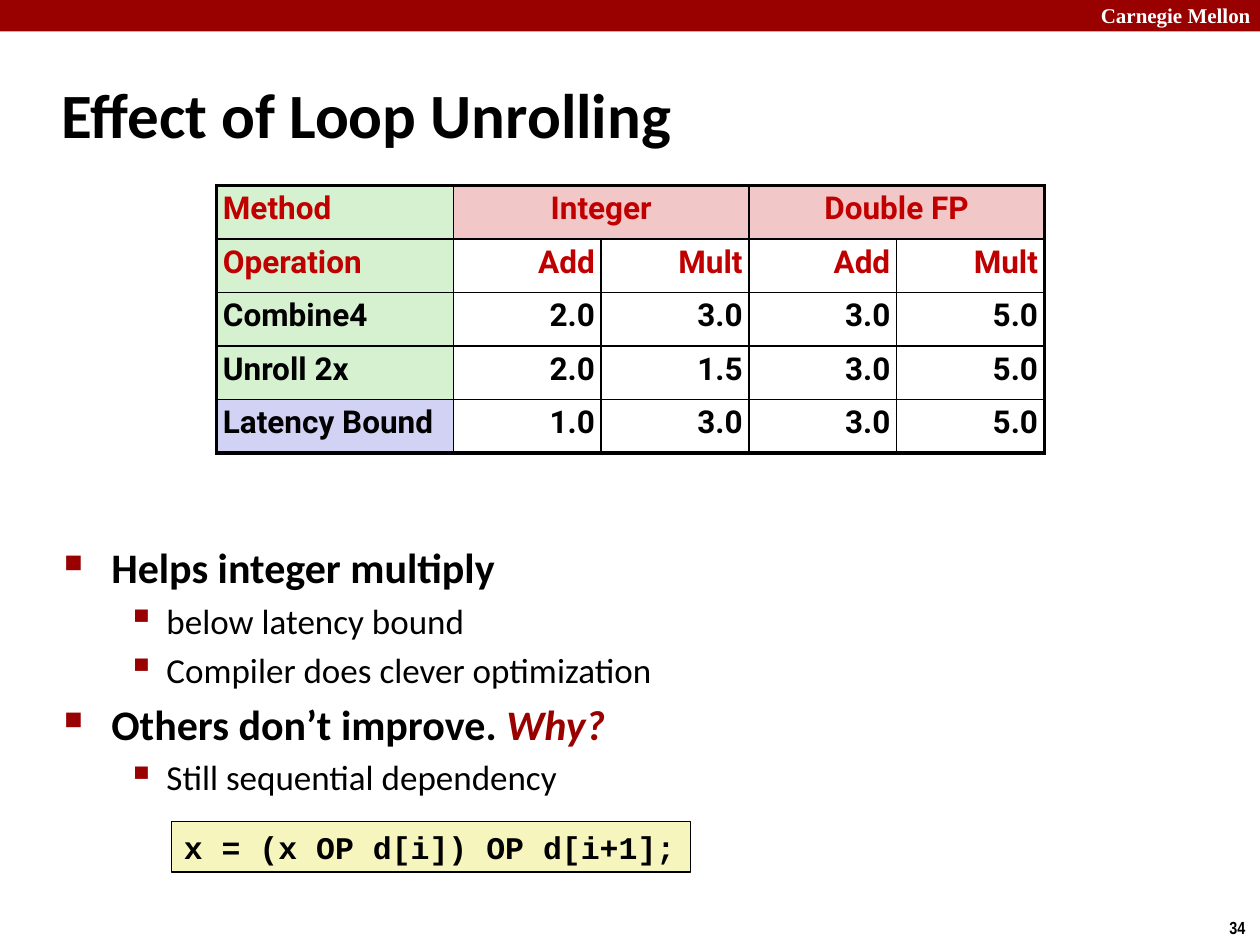
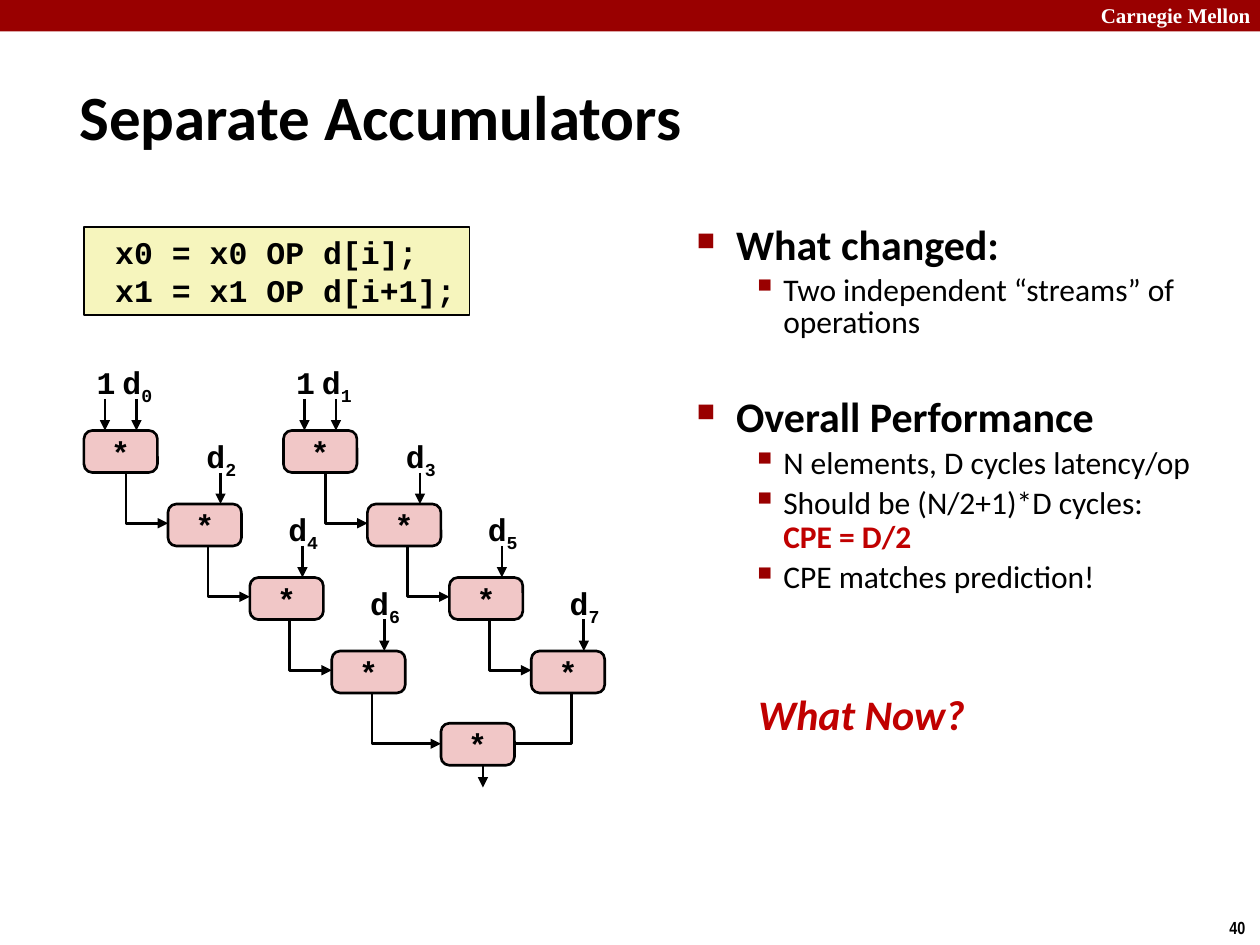
"""Build two lecture slides on loop unrolling and separate accumulators."""
from dataclasses import dataclass
from typing import NamedTuple, Optional

from lxml import etree
from pptx import Presentation
from pptx.dml.color import RGBColor
from pptx.enum.shapes import MSO_CONNECTOR, MSO_SHAPE
from pptx.enum.text import MSO_ANCHOR, MSO_AUTO_SIZE, PP_ALIGN
from pptx.oxml.ns import qn
from pptx.util import Pt

RECTANGLE, ROUNDED = MSO_SHAPE.RECTANGLE, MSO_SHAPE.ROUNDED_RECTANGLE
STRAIGHT = MSO_CONNECTOR.STRAIGHT
LEFT, CENTER, RIGHT = PP_ALIGN.LEFT, PP_ALIGN.CENTER, PP_ALIGN.RIGHT
TOP, MIDDLE = MSO_ANCHOR.TOP, MSO_ANCHOR.MIDDLE
NO_AUTOSIZE = MSO_AUTO_SIZE.NONE

BLACK = RGBColor(0x00, 0x00, 0x00)
WHITE = RGBColor(0xFF, 0xFF, 0xFF)
CRIMSON = RGBColor(0x99, 0x00, 0x00)
RED = RGBColor(0xC0, 0x00, 0x00)
YELLOW = RGBColor(0xF6, 0xF5, 0xBD)
GREEN = RGBColor(0xD5, 0xF1, 0xCF)
PINK = RGBColor(0xF1, 0xC7, 0xC7)
LILAC = RGBColor(0xD2, 0xD2, 0xF4)

TITLE_ONLY = 5
NODE_WIDTH, NODE_HEIGHT = 42, 24
CHAIN_LEFTS = (48, 96, 142.8, 189.6)
CHAIN_TOP, CHAIN_STEP, CHAIN_SHIFT = 246, 42, 114
ELBOW_RUN, ELBOW_DROP = 24, 29


class Area(NamedTuple):
    left: float
    top: float
    width: float
    height: float

    def lengths(self) -> list:
        return [Pt(value) for value in self]


class Style(NamedTuple):
    face: str
    size: float
    color: RGBColor = BLACK
    bold: bool = True
    italic: bool = False


class Level(NamedTuple):
    indent: float
    hang: float
    size: float
    bold: bool
    mark: str
    mark_percent: int


@dataclass
class Bullet:
    text: str
    level: int = 0
    emphasis: str = ""
    emphasis_style: Optional[Style] = None
    before: Optional[float] = None
    spacing: Optional[float] = None


CODE = Style("Courier New", 18)
TITLE = Style("Calibri", 36)
HEADER = Style("Times New Roman", 12, WHITE)
NUMBER = Style("Arial Narrow", 10)
CELL = Style("Roboto", 18)
CELL_HEADING = CELL._replace(color=RED)
WIDE_LEVELS = (Level(27, 27, 24, True, "■", 60), Level(58.5, 22.5, 20, False, "▪", 110))
NARROW_LEVELS = (Level(22.5, 22.5, 24, True, "■", 60), Level(49.5, 18, 18, False, "▪", 110))

TABLE_ROWS = (
    ("Method", "Integer", "", "Double FP", ""),
    ("Operation", "Add", "Mult", "Add", "Mult"),
    ("Combine4", "2.0", "3.0", "3.0", "5.0"),
    ("Unroll 2x", "2.0", "1.5", "3.0", "5.0"),
    ("Latency Bound", "1.0", "3.0", "3.0", "5.0"),
)
UNROLLING_BULLETS = (
    Bullet("Helps integer multiply"),
    Bullet("below latency bound", 1),
    Bullet("Compiler does clever optimization", 1),
    Bullet("Others don’t improve. ", 0, "Why?", Style("Calibri", 24, CRIMSON, True, True)),
    Bullet("Still sequential dependency", 1),
)
ACCUMULATOR_BULLETS = (
    Bullet("What changed:", spacing=0.85),
    Bullet("Two independent “streams” of operations", 1, spacing=0.85),
    Bullet("Overall Performance", before=33, spacing=0.85),
    Bullet("N elements, D cycles latency/op", 1, spacing=0.9),
    Bullet("Should be (N/2+1)*D cycles:\n", 1, "CPE = D/2",
           Style("Calibri", 18, RED), spacing=0.9),
    Bullet("CPE matches prediction!", 1, spacing=0.9),
)


def format_span(span, style: Style) -> None:
    font = span.font
    font.name, font.size = style.face, Pt(style.size)
    font.bold, font.italic = style.bold, style.italic
    font.color.rgb = style.color


def write(frame, text: str, style: Style, align=LEFT) -> None:
    frame.text = text
    for para in frame.paragraphs:
        para.alignment = align
        for span in para.runs:
            format_span(span, style)


def set_margins(frame, across: float, down: float) -> None:
    frame.margin_left = frame.margin_right = Pt(across)
    frame.margin_top = frame.margin_bottom = Pt(down)


def add_text(page, area: Area, text: str, style: Style, align=LEFT, wrap=False):
    frame = page.shapes.add_textbox(*area.lengths()).text_frame
    frame.word_wrap = wrap
    write(frame, text, style, align)
    return frame


def add_block(page, kind, area: Area, fill: RGBColor, line_width: float = 0):
    block = page.shapes.add_shape(kind, *area.lengths())
    block.shadow.inherit = False
    block.fill.solid()
    block.fill.fore_color.rgb = fill
    if line_width:
        block.line.color.rgb = BLACK
        block.line.width = Pt(line_width)
    else:
        block.line.fill.background()
    return block


def add_code(page, area: Area, text: str, wrap_anchor=TOP) -> None:
    frame = add_block(page, RECTANGLE, area, YELLOW, 1).text_frame
    frame.word_wrap = False
    frame.vertical_anchor = wrap_anchor
    write(frame, text, CODE)


def add_page(deck, title: str, title_area: Area, number: str):
    page = deck.slides.add_slide(deck.slide_layouts[TITLE_ONLY])
    add_block(page, RECTANGLE, Area(0, 0, 720, 18), CRIMSON)
    add_text(page, Area(622, -2, 103, 21.6), "Carnegie Mellon", HEADER, wrap=True)
    add_text(page, Area(695.5, 520.6, 24.5, 19.4), number, NUMBER)
    heading = page.shapes.title
    heading.left, heading.top, heading.width, heading.height = title_area.lengths()
    heading.text_frame.auto_size = NO_AUTOSIZE
    heading.text_frame.vertical_anchor = MIDDLE
    write(heading.text_frame, title, TITLE)
    return page


def mark_paragraph(para, level: Level) -> None:
    properties = para._p.get_or_add_pPr()
    properties.set("marL", str(Pt(level.indent)))
    properties.set("indent", str(-Pt(level.hang)))
    color = etree.SubElement(properties, qn("a:buClr"))
    etree.SubElement(color, qn("a:srgbClr"), val=str(CRIMSON))
    etree.SubElement(properties, qn("a:buSzPct"), val=str(level.mark_percent * 1000))
    etree.SubElement(properties, qn("a:buChar"), char=level.mark)


def add_bullets(page, area: Area, bullets: tuple, levels: tuple) -> None:
    frame = page.shapes.add_textbox(*area.lengths()).text_frame
    frame.word_wrap = True
    for index, bullet in enumerate(bullets):
        level = levels[bullet.level]
        para = frame.add_paragraph() if index else frame.paragraphs[0]
        para.text = bullet.text
        para.level = bullet.level
        mark_paragraph(para, level)
        if index:
            para.space_before = Pt(bullet.before or level.size * 0.2)
        if bullet.spacing:
            para.line_spacing = bullet.spacing
        format_span(para.runs[0], Style("Calibri", level.size, bold=level.bold))
        if bullet.emphasis:
            span = para.add_run()
            span.text = bullet.emphasis
            format_span(span, bullet.emphasis_style)


def set_borders(cell, widths: dict) -> None:
    properties = cell._tc.get_or_add_tcPr()
    for side, width in widths.items():
        line = etree.SubElement(properties, qn(f"a:ln{side}"), w=str(Pt(width)))
        fill = etree.SubElement(line, qn("a:solidFill"))
        etree.SubElement(fill, qn("a:srgbClr"), val=str(BLACK))


def cell_fill(row: int, column: int) -> Optional[RGBColor]:
    if column == 0:
        return LILAC if row == len(TABLE_ROWS) - 1 else GREEN
    return PINK if row == 0 else None


def add_cycles_table(page, area: Area) -> None:
    row_count, column_count = len(TABLE_ROWS), len(TABLE_ROWS[0])
    table = page.shapes.add_table(row_count, column_count, *area.lengths()).table
    table.first_row = table.horz_banding = False
    for column, width in zip(table.columns, (135.4,) + (84.4,) * 4):
        column.width = Pt(width)
    for first in (1, 3):
        table.cell(0, first).merge(table.cell(0, first + 1))
    for row, texts in enumerate(TABLE_ROWS):
        table.rows[row].height = Pt(area.height / row_count)
        for column, text in enumerate(texts):
            cell = table.cell(row, column)
            last = column + (cell.span_width if cell.is_merge_origin else 1)
            outer = {"L": column == 0, "R": last == column_count,
                     "T": row == 0, "B": row == row_count - 1}
            set_borders(cell, {side: 2.25 if edge else 1 for side, edge in outer.items()})
            fill = cell_fill(row, column)
            if fill:
                cell.fill.solid()
                cell.fill.fore_color.rgb = fill
            else:
                cell.fill.background()
            set_margins(cell, 3.6, 3.6)
            if text:
                align = LEFT if column == 0 else CENTER if row == 0 else RIGHT
                write(cell.text_frame, text, CELL_HEADING if row < 2 else CELL, align)
                cell.text_frame.paragraphs[0].line_spacing = 0.95


def style_line(shape, arrow: bool) -> None:
    shape.line.color.rgb = BLACK
    shape.line.width = Pt(1.5)
    if arrow:
        etree.SubElement(shape._element.spPr.get_or_add_ln(), qn("a:tailEnd"), type="triangle")


def add_down_arrow(page, x: float, top: float) -> None:
    arrow = page.shapes.add_connector(STRAIGHT, Pt(x), Pt(top), Pt(x), Pt(top + 18))
    style_line(arrow, True)
    etree.SubElement(arrow._element.spPr, qn("a:effectLst"))


def add_elbow(page, x: float, top: float, end_x: float, arrow: bool = True) -> None:
    builder = page.shapes.build_freeform(Pt(x), Pt(top))
    bottom = Pt(top + ELBOW_DROP)
    builder.add_line_segments([(Pt(x), bottom), (Pt(end_x), bottom)], close=False)
    elbow = builder.convert_to_shape()
    elbow.shadow.inherit = False
    elbow.fill.background()
    style_line(elbow, arrow)


def add_node(page, left: float, top: float) -> None:
    node = add_block(page, ROUNDED, Area(left, top, NODE_WIDTH, NODE_HEIGHT), PINK, 1.5)
    node.adjustments[0] = 0.2
    frame = node.text_frame
    frame.word_wrap = False
    frame.vertical_anchor = MIDDLE
    set_margins(frame, 0, 0)
    write(frame, "*", CODE, CENTER)


def add_operand(page, area: Area, text: str, subscript: str = "") -> None:
    frame = add_text(page, area, text, CODE, CENTER)
    set_margins(frame, 3.6, 3.6)
    if subscript:
        span = frame.paragraphs[0].add_run()
        span.text = subscript
        format_span(span, CODE)
        span._r.get_or_add_rPr().set("baseline", "-25000")
    add_down_arrow(page, area.left + (12 if subscript else 8.4), area.top + 24)


def add_chain(page, stream: int) -> None:
    for step, chain_left in enumerate(CHAIN_LEFTS):
        left = chain_left + stream * CHAIN_SHIFT
        top = CHAIN_TOP + step * CHAIN_STEP
        add_node(page, left, top)
        add_operand(page, Area(left + 18, top - 42, 25, 28.8), "d", str(2 * step + stream))
        if step:
            add_elbow(page, left - ELBOW_RUN, top - CHAIN_STEP + NODE_HEIGHT, left)
        else:
            add_operand(page, Area(left + 3.6, top - 42, 18, 28.8), "1")


def add_accumulator_diagram(page) -> None:
    for stream in (0, 1):
        add_chain(page, stream)
    result_left, result_top = 252, 413.3
    bottom = CHAIN_TOP + 3 * CHAIN_STEP + NODE_HEIGHT
    last_x = CHAIN_LEFTS[-1] + 23
    add_elbow(page, last_x, bottom, result_left)
    add_elbow(page, last_x + CHAIN_SHIFT, bottom, result_left + NODE_WIDTH, arrow=False)
    add_down_arrow(page, result_left + 24, 432)
    add_node(page, result_left, result_top)


def main() -> None:
    deck = Presentation()
    deck.slide_width, deck.slide_height = Pt(720), Pt(540)

    page = add_page(deck, "Effect of Loop Unrolling", Area(28, 34.6, 597.6, 59.8), "34")
    add_cycles_table(page, Area(123.8, 106, 473, 153))
    add_bullets(page, Area(29.5, 306, 654.5, 210), UNROLLING_BULLETS, WIDE_LEVELS)
    add_code(page, Area(98, 469.4, 296.6, 28.8), "x = (x OP d[i]) OP d[i+1];")

    page = add_page(deck, "Separate Accumulators", Area(38.2, 36, 597.6, 59.8), "40")
    add_accumulator_diagram(page)
    add_code(page, Area(48, 129.6, 220.3, 50.4), " x0 = x0 OP d[i];\n x1 = x1 OP d[i+1];")
    add_bullets(page, Area(391, 126, 311, 246), ACCUMULATOR_BULLETS, NARROW_LEVELS)
    add_text(page, Area(426.2, 390.2, 134, 36), "What Now?",
             Style("Calibri", 24, RED, True, True))

    deck.save("out.pptx")


if __name__ == "__main__":
    main()
